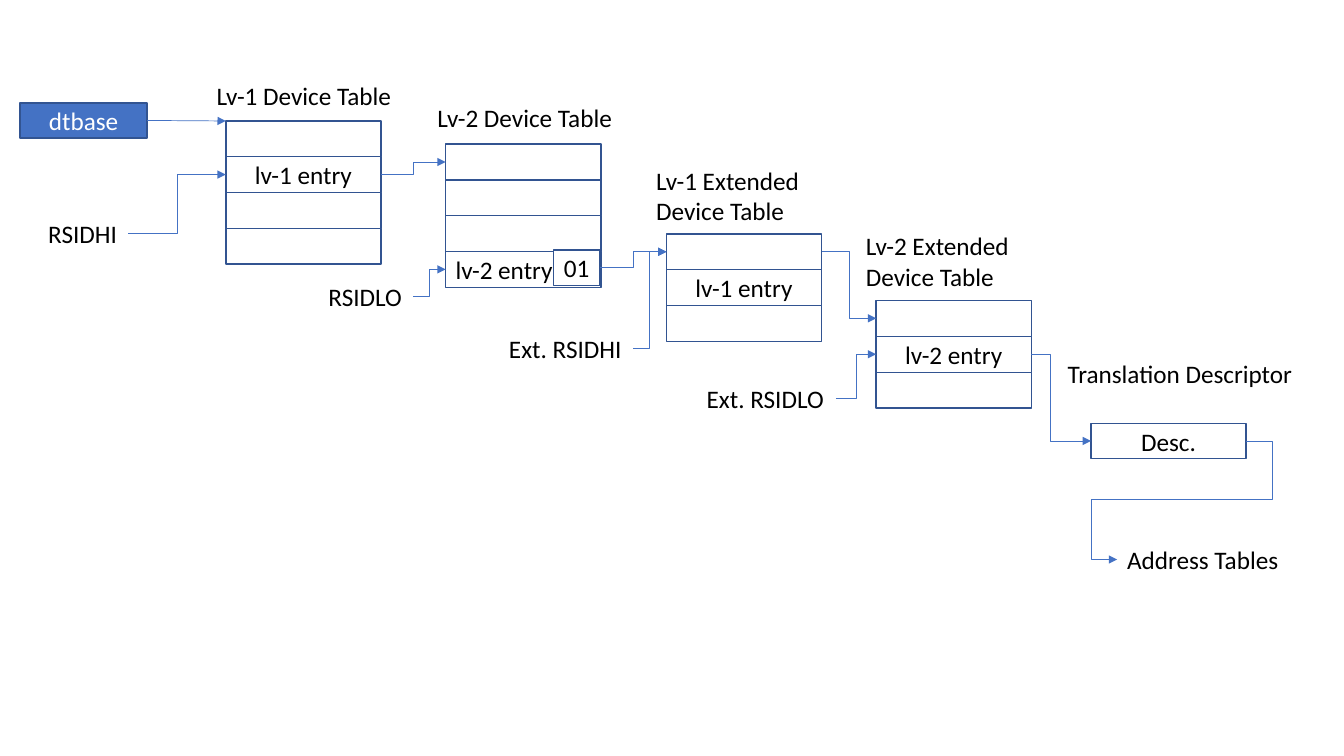
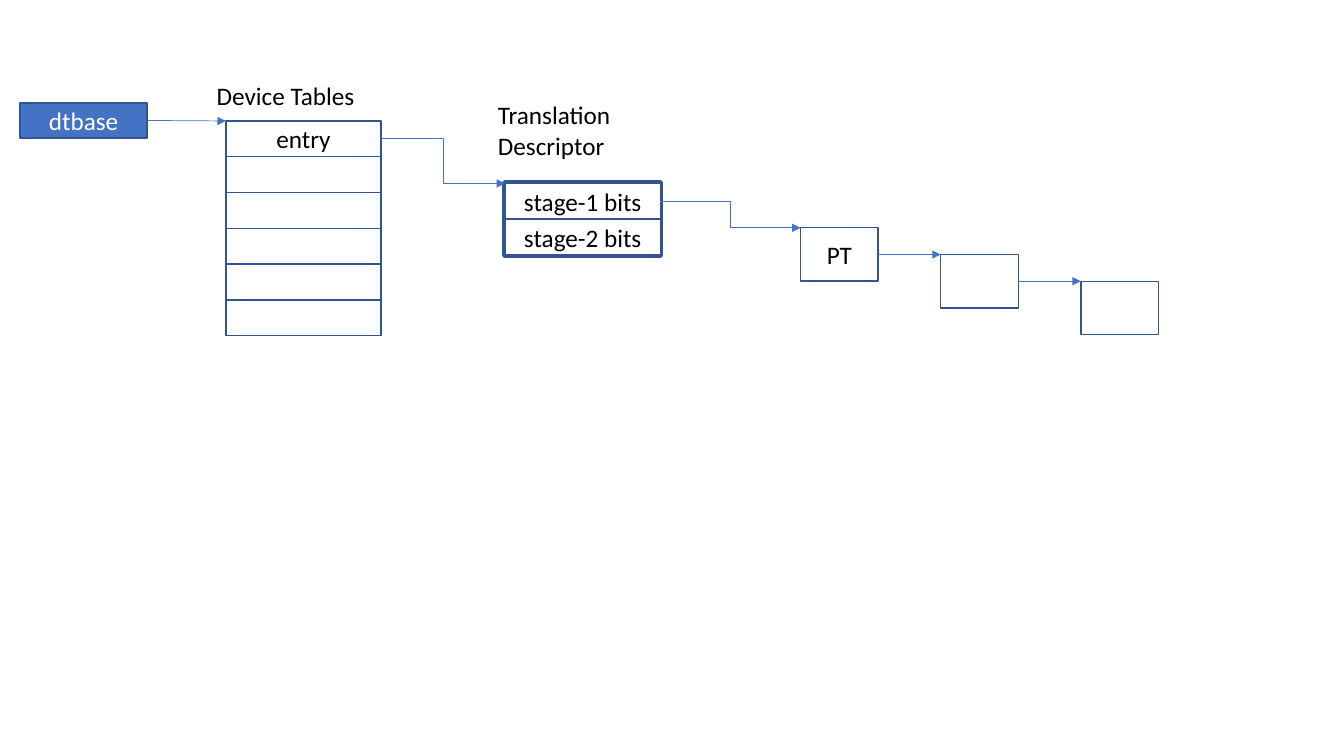
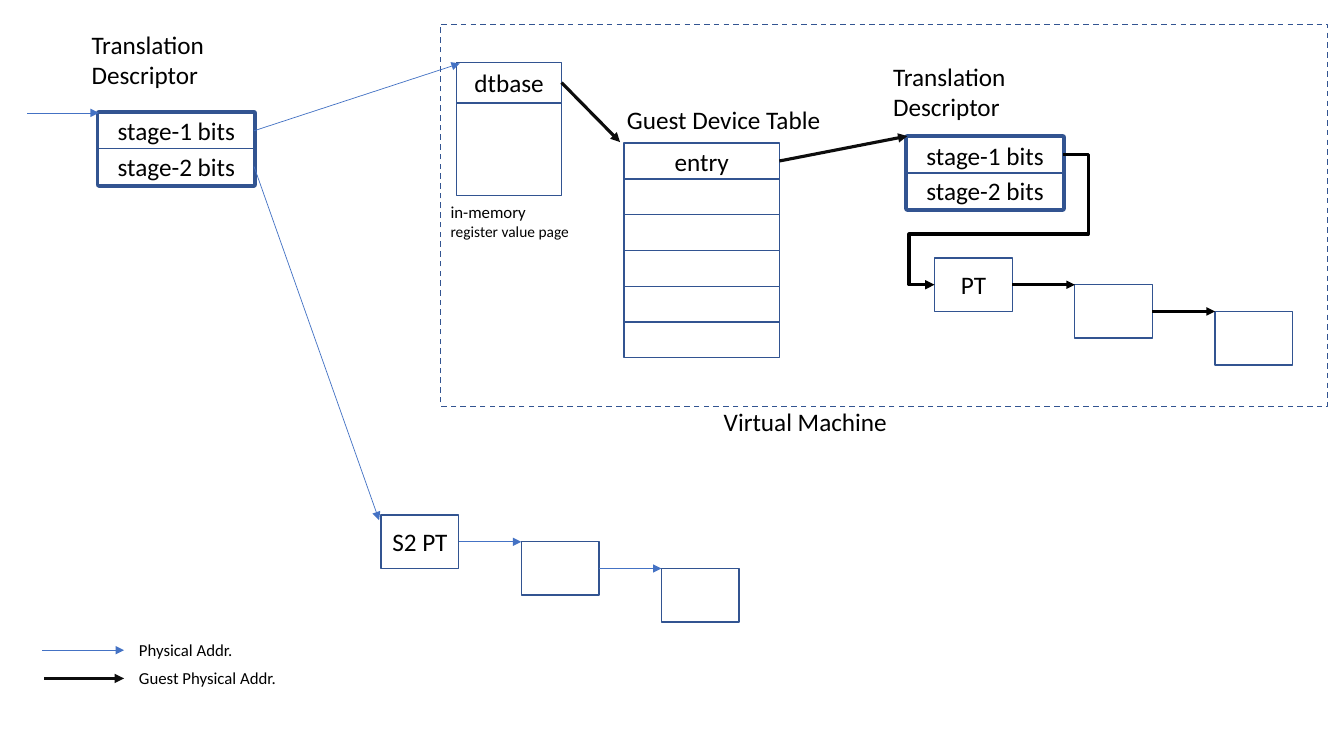
from dataclasses import dataclass

from pptx import Presentation
from pptx.dml.color import RGBColor
from pptx.enum.dml import MSO_LINE
from pptx.enum.shapes import MSO_CONNECTOR, MSO_SHAPE
from pptx.enum.text import MSO_ANCHOR, MSO_AUTO_SIZE, PP_ALIGN
from pptx.oxml.ns import qn
from pptx.util import Inches, Pt
from lxml.etree import SubElement


@dataclass(frozen=True)
class Theme:
    font: str = "Calibri"
    black: str = "000000"
    near_black: str = "0D0D0D"
    white: str = "FFFFFF"
    blue: str = "4472C4"
    outline: str = "325491"
    body: float = 18
    small: float = 12
    tiny: float = 11
    border: float = 1
    heavy_border: float = 4.5
    thin: float = 0.5
    medium: float = 2
    thick: float = 2.25


THEME = Theme()
TABLE_WIDTH = 1.54
ROW_HEIGHT = 0.35
PAGE_WIDTH, PAGE_HEIGHT, PAGE_GAP = 0.77, 0.53, 0.62


def add_text(para, text, size=THEME.body, color=THEME.black):
    span = para.add_run()
    span.text = text
    span.font.name = THEME.font
    span.font.size = Pt(size)
    span.font.color.rgb = RGBColor.from_string(color)


class Diagram:
    def __init__(self):
        self.deck = Presentation()
        self.deck.slide_width, self.deck.slide_height = Inches(13.33), Inches(7.5)
        self.page = None

    def new_page(self):
        self.page = self.deck.slides.add_slide(self.deck.slide_layouts[6])

    def box(self, left, top, width, height, text="", fill=THEME.white, color=THEME.black,
            align=PP_ALIGN.CENTER, border=THEME.border, dash=None):
        box = self.page.shapes.add_shape(MSO_SHAPE.RECTANGLE, Inches(left), Inches(top),
                                         Inches(width), Inches(height))
        box.shadow.inherit = False
        box.fill.solid()
        box.fill.fore_color.rgb = RGBColor.from_string(fill)
        box.line.color.rgb = RGBColor.from_string(THEME.outline)
        box.line.width = Pt(border)
        if dash:
            box.line.dash_style = dash
        if text:
            box.text_frame.vertical_anchor = MSO_ANCHOR.MIDDLE
            para = box.text_frame.paragraphs[0]
            para.alignment = align
            add_text(para, text, color=color)
        return box

    def label(self, left, top, width, height, *parts, size=THEME.body, wrap=False):
        """Each part is a text, or a pair of text and size."""
        label = self.page.shapes.add_textbox(Inches(left), Inches(top),
                                             Inches(width), Inches(height))
        frame = label.text_frame
        frame.word_wrap = wrap
        frame.auto_size = MSO_AUTO_SIZE.SHAPE_TO_FIT_TEXT
        for part in parts:
            text, part_size = (part, size) if isinstance(part, str) else part
            add_text(frame.paragraphs[0], text, size=part_size)
        return label

    def arrow(self, begin, end, kind=MSO_CONNECTOR.STRAIGHT, bends=(),
              color=THEME.blue, weight=THEME.thin):
        """An end is a point, or a shape: arrows leave on its right, arrive on its left."""
        points = [end_ if isinstance(end_, tuple) else (0, 0) for end_ in (begin, end)]
        line = self.page.shapes.add_connector(
            kind, *(Inches(value) for point in points for value in point))
        if not isinstance(begin, tuple):
            line.begin_connect(begin, 3)
        if not isinstance(end, tuple):
            line.end_connect(end, 1)
        line.line.color.rgb = RGBColor.from_string(color)
        line.line.width = Pt(weight)
        SubElement(line.line._get_or_add_ln(), qn("a:tailEnd"), type="triangle")
        properties = line._element.spPr
        SubElement(properties, qn("a:effectLst"))
        if bends:
            geometry = properties.find(qn("a:prstGeom"))
            geometry.set("prst", f"bentConnector{len(bends) + 2}")
            guides = geometry.find(qn("a:avLst"))
            if guides is None:
                guides = SubElement(geometry, qn("a:avLst"))
            for number, bend in enumerate(bends, 1):
                SubElement(guides, qn("a:gd"), name=f"adj{number}",
                           fmla=f"val {round(bend * 100000)}")

    def elbow(self, begin, end, **style):
        self.arrow(begin, end, kind=MSO_CONNECTOR.ELBOW, **style)

    def table(self, left, top, height, rows):
        """Stack equal rows and return their boxes."""
        pitch = height / len(rows)
        return [self.box(left, top + pitch * index, TABLE_WIDTH, pitch, text)
                for index, text in enumerate(rows)]

    def descriptor(self, left, top, label_left, label_top):
        self.box(left, top, TABLE_WIDTH, 0.71, border=THEME.heavy_border)
        self.label(label_left, label_top, 2.04, 0.71, "Translation Descriptor", wrap=True)
        return self.table(left, top, 0.71, ["stage-1 bits", "stage-2 bits"])

    def page_tables(self, left, top, text, **style):
        """Three stepped boxes, each pointing at the corner of the next."""
        boxes = []
        for index, name in enumerate((text, "", "")):
            x = left + index * (PAGE_WIDTH + PAGE_GAP)
            y = top + index * PAGE_HEIGHT / 2
            boxes.append(self.box(x, y, PAGE_WIDTH, PAGE_HEIGHT, name))
            if index:
                self.arrow(boxes[index - 1], (x, y), **style)
        return boxes[0]

    def base_register(self):
        register = self.box(0.2, 1.02, 1.26, ROW_HEIGHT, "dtbase",
                            fill=THEME.blue, color=THEME.white)
        self.arrow(register, (2.24, 1.2))


diagram = Diagram()

# Slide 1: extended device tables
diagram.new_page()
diagram.base_register()
first = diagram.table(2.24, 1.2, 1.42, ["", "lv-1 entry", "", ""])
second = diagram.table(4.42, 1.43, 1.42, ["", "", "", ""])
add_text(second[3].text_frame.paragraphs[0], "lv-2 entry")
second[3].text_frame.paragraphs[0].alignment = PP_ALIGN.LEFT
second[3].text_frame.vertical_anchor = MSO_ANCHOR.MIDDLE
mode = diagram.box(5.49, 2.48, 0.46, ROW_HEIGHT, "01")
first_extended = diagram.table(6.61, 2.32, 1.07, ["", "lv-1 entry", ""])
second_extended = diagram.table(8.69, 2.98, 1.07, ["", "lv-2 entry", ""])
descriptor, = diagram.table(10.82, 4.2, ROW_HEIGHT, ["Desc."])

# Table names
diagram.label(2.05, 0.75, 1.96, 0.4, "Lv-1 Device Table")
diagram.label(4.24, 0.97, 1.96, 0.4, "Lv-2 Device Table")
diagram.label(6.41, 1.59, 1.93, 0.71, "Lv-1 Extended Device Table", wrap=True)
diagram.label(8.49, 2.24, 1.93, 0.71, "Lv-2 Extended Device Table", wrap=True)
diagram.label(10.49, 3.51, 2.46, 0.4, "Translation Descriptor", wrap=True)

# Index fields and the rows they select
for left, top, width, name, row in (
        (0.38, 2.12, 0.89, "RSIDHI", first[1]),
        (3.16, 2.74, 0.94, "RSIDLO", second[3]),
        (4.95, 3.26, 1.33, "Ext. RSIDHI", first_extended[0]),
        (6.91, 3.75, 1.38, "Ext. RSIDLO", second_extended[1])):
    diagram.elbow(diagram.label(left, top, width, 0.4, name), row)

# Links from table to table
diagram.elbow(first[1], second[0])
diagram.elbow(mode, first_extended[0])
diagram.elbow(first_extended[0], second_extended[0])
diagram.elbow(second_extended[1], descriptor, bends=(0.32,))
address_tables = diagram.label(11.08, 5.35, 1.72, 0.4, "Address Tables")
diagram.elbow(descriptor, address_tables, bends=(-0.2, 0.49, 1.2))

# Slide 2: descriptor to page tables
diagram.new_page()
diagram.base_register()
device_rows = diagram.table(2.24, 1.2, 2.13, ["entry"] + [""] * 5)
diagram.label(2.05, 0.75, 1.59, 0.4, "Device Tables")
stages = diagram.descriptor(5.01, 1.82, 4.84, 0.94)
diagram.page_tables(7.94, 2.26, "PT")
diagram.elbow(device_rows[0], (5.01, 1.82))
diagram.elbow(stages[0], (7.94, 2.26))

# Slide 3: virtual machine
diagram.new_page()
diagram.box(4.37, 0.24, 8.8, 3.79, dash=MSO_LINE.DASH)
diagram.label(7.08, 3.98, 1.84, 0.4, "Virtual Machine")
guest = {"color": THEME.near_black, "weight": THEME.thick}

# Host side
stages = diagram.descriptor(0.98, 1.12, 0.81, 0.24)
diagram.page_tables(3.78, 5.11, "S2 PT")
diagram.arrow((0.27, 1.12), (0.98, 1.12))

# Guest side
register = diagram.box(4.53, 0.62, 1.04, 0.4, "dtbase")
diagram.box(4.53, 1.02, 1.04, 0.92)
diagram.label(4.37, 1.95, 1.4, 0.49, "in-memory", (" register value page", THEME.tiny),
              size=THEME.small, wrap=True)
guest_rows = diagram.table(6.19, 1.42, 2.13, ["entry"] + [""] * 5)
diagram.label(6.12, 0.99, 2.14, 0.4, "Guest Device Table")
guest_stages = diagram.descriptor(9, 1.36, 8.76, 0.56)
guest_pages = diagram.page_tables(9.27, 2.56, "PT", color=THEME.black, weight=THEME.medium)

# Links
diagram.arrow(stages[0], (4.56, 0.63))
diagram.arrow(stages[1], (3.76, 5.16))
diagram.arrow(register, (6.15, 1.41), **guest)
diagram.arrow(guest_rows[0], (9, 1.35), **guest)
diagram.elbow(guest_stages[0], guest_pages, bends=(-0.2, 0.61, 1.2),
              color=THEME.black, weight=THEME.thick)

# Legend
for top, left, width, name, style in (
        (6.3, 0.42, 1.14, "Physical Addr.", {}),
        (6.58, 0.44, 1.58, "Guest Physical Addr.", guest)):
    diagram.arrow((left, top + 0.15), (1.23, top + 0.15), **style)
    diagram.label(1.28, top, width, 0.3, name, size=THEME.small)

diagram.deck.save("out.pptx")
